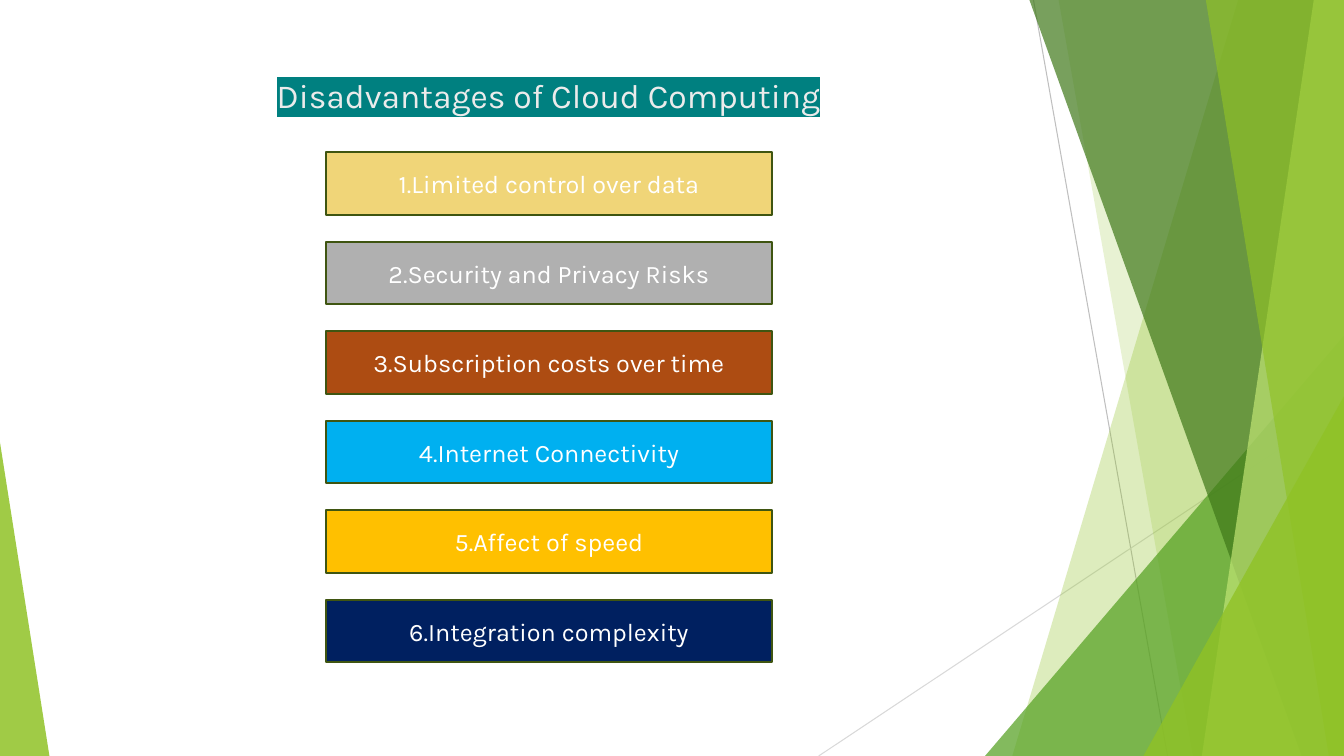
"""Build the slide on the disadvantages of cloud computing."""
import dataclasses

import pptx
import pptx.dml.color
import pptx.enum.shapes
import pptx.enum.text
import pptx.oxml
import pptx.oxml.ns
import pptx.util

Inches = pptx.util.Inches
Pt = pptx.util.Pt
qn = pptx.oxml.ns.qn
NS = pptx.oxml.ns.nsdecls("a")
KINDS = pptx.enum.shapes.MSO_SHAPE
WIDE, HIGH = 13.33, 7.5


@dataclasses.dataclass(frozen=True)
class Theme:
    font: str = "Karla"
    head: int = 24
    body: int = 18
    pale: str = "EBEBEB"
    mark: str = "008080"
    white: str = "FFFFFF"
    edge: str = "3F5511"
    lime: str = "90C226"
    green: str = "54A021"
    dark: str = "3F7819"
    light: str = "C0E474"
    grey: str = "BFBFBF"
    mist: str = "D9D9D9"


THEME = Theme()

POINTS = [
    ("Limited control over data", "F0D578"),
    ("Security and Privacy Risks", "B0B0B0"),
    ("Subscription costs over time", "AD4C12"),
    ("Internet Connectivity", "00B0F0"),
    ("Affect of speed", "FFC000"),
    ("Integration complexity", "002060"),
]


def rgb(code):
    return pptx.dml.color.RGBColor.from_string(code)


def paint(shape, color, alpha):
    shape.shadow.inherit = False
    shape.line.fill.background()
    shape.fill.solid()
    shape.fill.fore_color.rgb = rgb(color)
    tint = shape.fill._xPr.find(".//" + qn("a:srgbClr"))
    tint.append(pptx.oxml.parse_xml(f'<a:alpha {NS} val="{alpha * 1000}"/>'))


def ray(slide, start, end, color):
    ends = [Inches(v) for v in (*start, *end)]
    line = slide.shapes.add_connector(
        pptx.enum.shapes.MSO_CONNECTOR.STRAIGHT, *ends)
    line.line.color.rgb = rgb(color)
    line.line.width = Pt(0.75)
    line._element.spPr.append(pptx.oxml.parse_xml(f"<a:effectLst {NS}/>"))


def shard(slide, top, foot, color, alpha):
    spots = [(top, 0), (WIDE, 0), (WIDE, HIGH), (foot, HIGH)]
    first, *rest = [(Inches(x), Inches(y)) for x, y in spots]
    form = slide.shapes.build_freeform(*first)
    form.add_line_segments(rest, close=True)
    paint(form.convert_to_shape(), color, alpha)


def wedge(slide, left, wide, high, peak, color, alpha):
    shape = slide.shapes.add_shape(
        KINDS.ISOSCELES_TRIANGLE, Inches(left), Inches(HIGH - high),
        Inches(wide), Inches(high))
    shape.adjustments[0] = peak
    paint(shape, color, alpha)


def write(frame, text, size, color):
    frame.word_wrap = True
    para = frame.paragraphs[0]
    para.alignment = pptx.enum.text.PP_ALIGN.CENTER
    run = para.add_run()
    run.text = text
    run.font.name = THEME.font
    run.font.size = Pt(size)
    run.font.color.rgb = rgb(color)
    return run


def title(slide, text):
    box = slide.shapes.add_textbox(
        Inches(0.74), Inches(0.67), Inches(9.4), Inches(0.62))
    box.text_frame.margin_top = Inches(0.07)
    run = write(box.text_frame, text, THEME.head, THEME.pale)
    mark = pptx.oxml.parse_xml(
        f'<a:highlight {NS}><a:srgbClr val="{THEME.mark}"/></a:highlight>')
    run.font._element.find(qn("a:latin")).addprevious(mark)


def bar(slide, top, text, color):
    shape = slide.shapes.add_shape(
        KINDS.RECTANGLE, Inches(3.23), Inches(top), Inches(4.43), Inches(0.62))
    shape.shadow.inherit = False
    shape.fill.solid()
    shape.fill.fore_color.rgb = rgb(color)
    shape.line.color.rgb = rgb(THEME.edge)
    shape.line.width = Pt(1.5)
    shape.text_frame.vertical_anchor = pptx.enum.text.MSO_ANCHOR.MIDDLE
    write(shape.text_frame, text, THEME.body, THEME.white)


def decor(slide):
    ray(slide, (10.25, 0), (11.58, HIGH), THEME.grey)
    ray(slide, (WIDE, 4.03), (8.12, HIGH), THEME.mist)
    shard(slide, 12.28, 10.04, THEME.lime, 30)
    shard(slide, 10.5, 11.83, THEME.lime, 20)
    wedge(slide, 9.77, 3.56, 4.17, 1, THEME.green, 72)
    shard(slide, 10.21, 12.91, THEME.dark, 70)
    shard(slide, 13.03, 11.92, THEME.light, 70)
    shard(slide, 11.96, 13.18, THEME.lime, 65)
    wedge(slide, 11.34, 1.99, 3.57, 1, THEME.lime, 80)
    wedge(slide, 0, 0.49, 3.11, 0, THEME.lime, 85)


def main():
    deck = pptx.Presentation()
    deck.slide_width = Inches(WIDE)
    deck.slide_height = Inches(HIGH)
    slide = deck.slides.add_slide(deck.slide_layouts[6])
    decor(slide)
    title(slide, "Disadvantages of Cloud Computing")
    for step, (text, color) in enumerate(POINTS):
        bar(slide, 1.51 + 0.888 * step, f"{step + 1}.{text}", color)
    deck.save("out.pptx")


if __name__ == "__main__":
    main()
